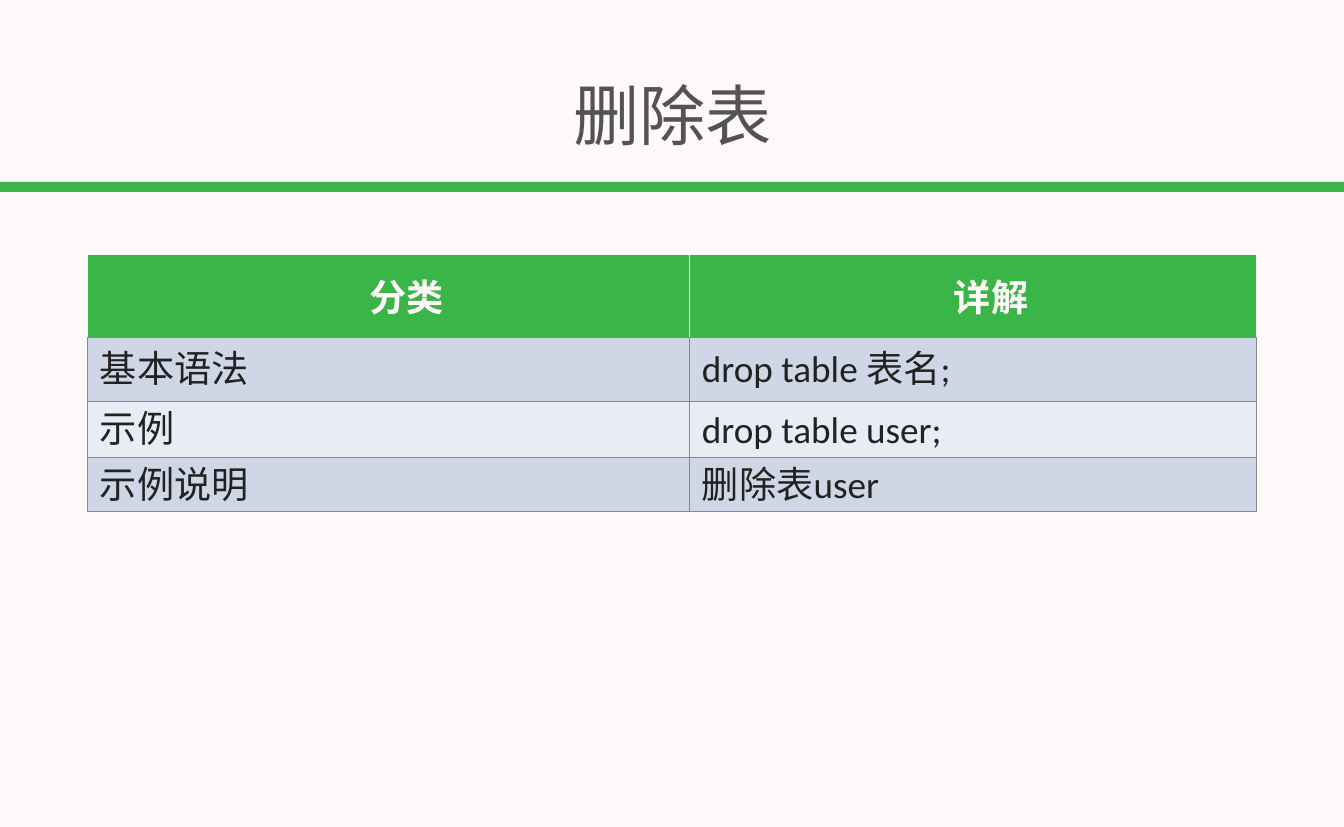
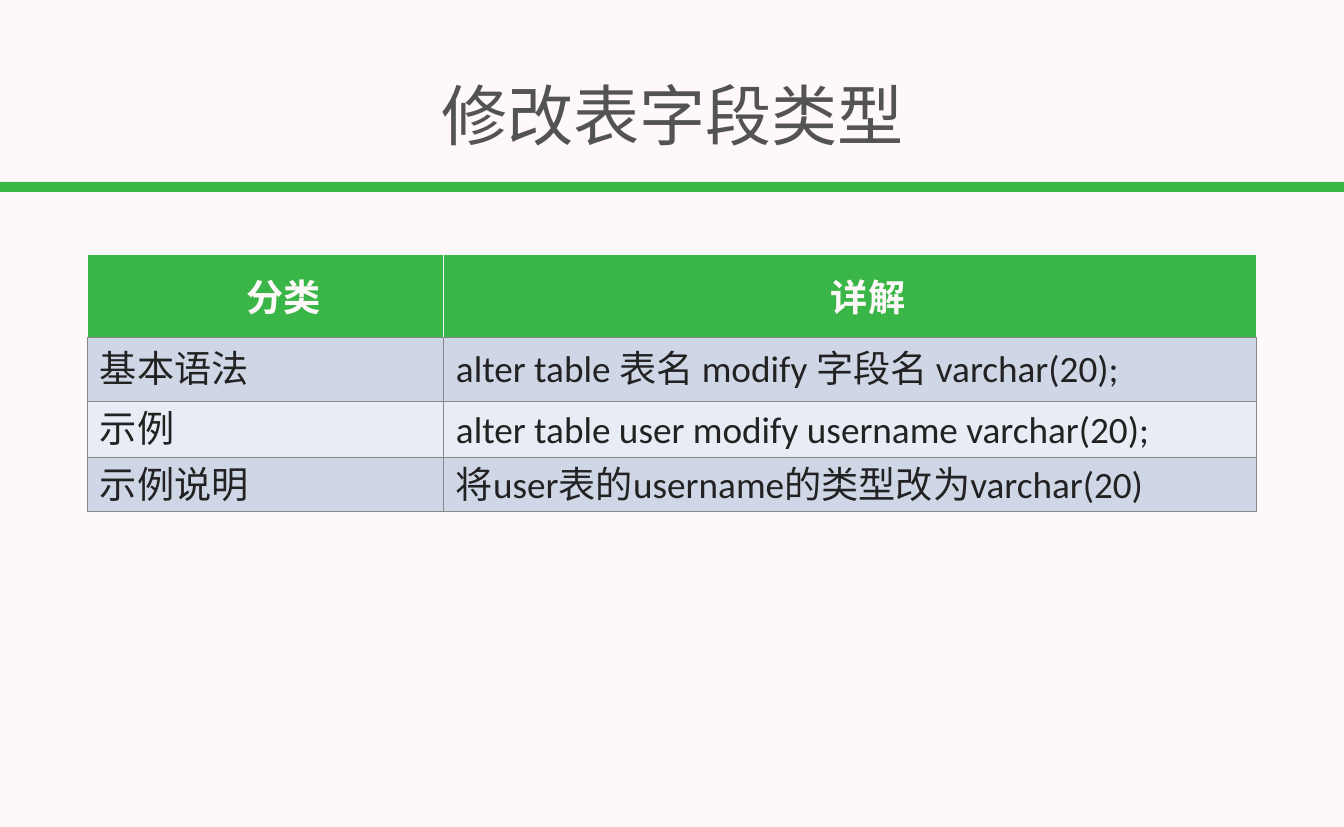
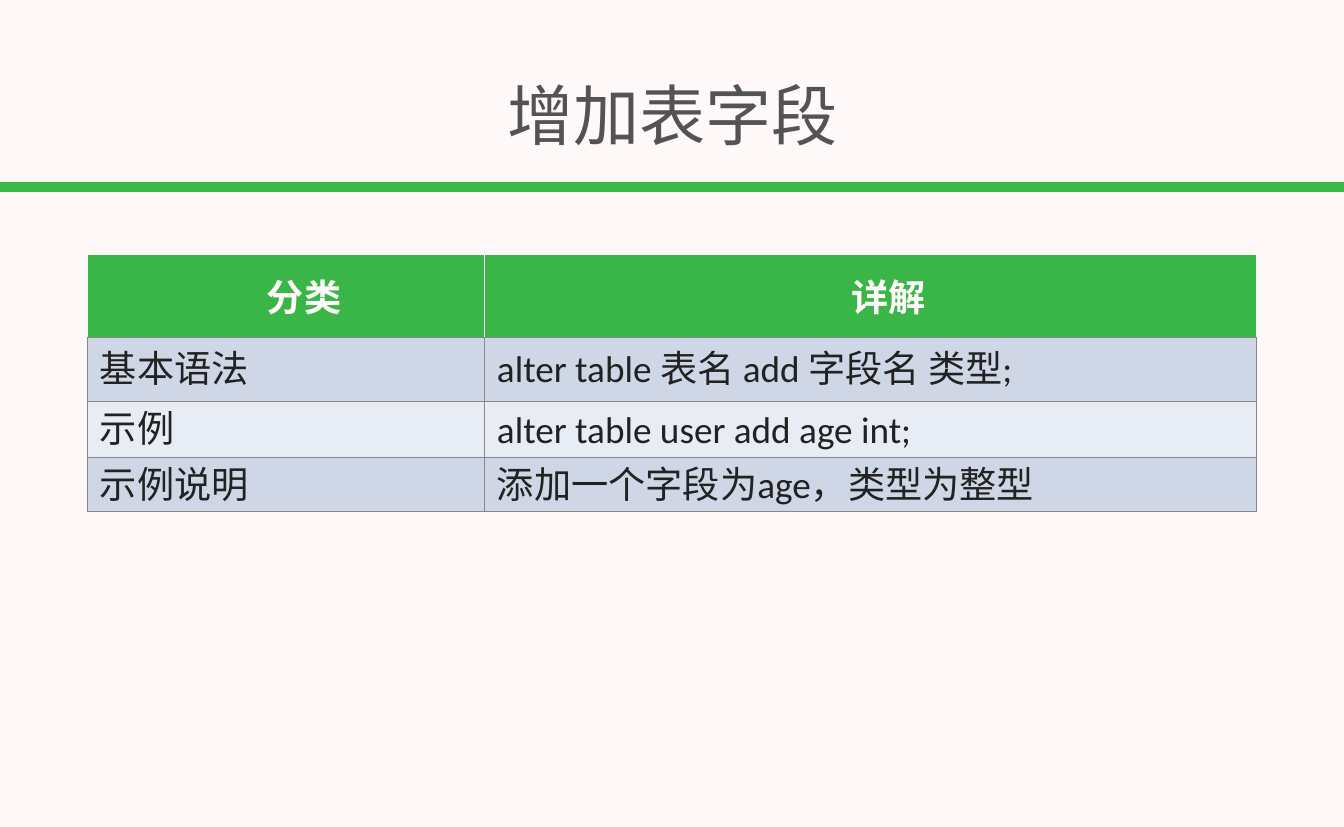
from lxml.etree import SubElement
from pptx import Presentation
from pptx.dml.color import RGBColor
from pptx.enum.shapes import MSO_SHAPE
from pptx.enum.text import MSO_ANCHOR, MSO_AUTO_SIZE, PP_ALIGN
from pptx.oxml.ns import qn
from pptx.util import Pt

SCALE = 12290  # EMU per pixel
FONT = "Calibri"
PAPER, BAND_GREEN, HEADER_GREEN = "FFF8F8", "39B747", "39B647"
TITLE_GREY, INK, GRID = "535353", "222222", "888888"
STRIPES = ["CFD7E7", "E8ECF4"]

TABLE_LEFT, TABLE_TOP, TABLE_WIDTH = 87, 254, 1169
ROW_HEIGHTS = [83, 64, 57, 54]
HEADINGS = ("分类", "详解")
ROW_LABELS = ["基本语法", "示例", "示例说明"]

# Title, width of the first column, details of the three rows
TOPICS = [
    ("删除表", 602,
     ["drop table 表名;", "drop table user;", "删除表user"]),
    ("修改表字段类型", 356,
     ["alter table 表名 modify 字段名 varchar(20);",
      "alter table user modify username varchar(20);",
      "将user表的username的类型改为varchar(20)"]),
    ("增加表字段", 397,
     ["alter table 表名 add 字段名 类型;",
      "alter table user add age int;",
      "添加一个字段为age，类型为整型"]),
]


def px(*lengths):
    return [length * SCALE for length in lengths]


def write(paragraph, text, size, color, bold=False):
    run = paragraph.add_run()
    run.text = text
    run.font.name = FONT
    run.font.size = Pt(size)
    run.font.bold = bold
    run.font.color.rgb = RGBColor.from_string(color)


prs = Presentation()
prs.slide_width, prs.slide_height = px(1344, 827)

# Shared background and title place
background = prs.slide_master.background.fill
background.solid()
background.fore_color.rgb = RGBColor.from_string(PAPER)
layout = prs.slide_layouts[5]
layout_title = layout.placeholders[0]
(layout_title.left, layout_title.top,
 layout_title.width, layout_title.height) = px(4, 61, 1337, 106)

slides = [prs.slides.add_slide(layout) for _ in TOPICS]

# Green band, moved to the layout so that every slide shows it
band = slides[0].shapes.add_shape(MSO_SHAPE.RECTANGLE, *px(-1, 182, 1346, 10))
band.shadow.inherit = False
band.fill.solid()
band.fill.fore_color.rgb = RGBColor.from_string(BAND_GREEN)
band.line.fill.background()
layout.shapes.element.append(band.element)

for slide, (heading, first_width, details) in zip(slides, TOPICS):
    # Title
    title_frame = slide.shapes.title.text_frame
    title_frame.auto_size = MSO_AUTO_SIZE.NONE
    title_frame.vertical_anchor = MSO_ANCHOR.MIDDLE
    title_frame.paragraphs[0].alignment = PP_ALIGN.CENTER
    write(title_frame.paragraphs[0], heading, 64, TITLE_GREY)

    # Syntax table
    rows = [HEADINGS, *zip(ROW_LABELS, details)]
    syntax = slide.shapes.add_table(
        len(rows), len(HEADINGS),
        *px(TABLE_LEFT, TABLE_TOP, TABLE_WIDTH, sum(ROW_HEIGHTS))).table
    syntax.columns[0].width, syntax.columns[1].width = px(
        first_width, TABLE_WIDTH - first_width)
    for row, height in zip(syntax.rows, px(*ROW_HEIGHTS)):
        row.height = height

    for r, texts in enumerate(rows):
        is_header = r == 0
        for c, text in enumerate(texts):
            cell = syntax.cell(r, c)
            cell.vertical_anchor = MSO_ANCHOR.MIDDLE
            side, edge = px(0, 0) if is_header else px(13, 3)
            cell.margin_left = cell.margin_right = side
            cell.margin_top = cell.margin_bottom = edge

            # Borders come before the fill in the cell properties
            properties = cell._tc.get_or_add_tcPr()
            for border in ("lnL", "lnR", "lnT", "lnB"):
                line = SubElement(properties, qn(f"a:{border}"), w=str(Pt(1)))
                paint = SubElement(line, qn("a:solidFill"))
                SubElement(paint, qn("a:srgbClr"),
                           val=PAPER if is_header and border != "lnB" else GRID)
            cell.fill.solid()
            cell.fill.fore_color.rgb = RGBColor.from_string(
                HEADER_GREEN if is_header else STRIPES[(r - 1) % 2])

            paragraph = cell.text_frame.paragraphs[0]
            if is_header:
                paragraph.alignment = PP_ALIGN.CENTER
                paragraph._p.get_or_add_pPr().set("indent", str(Pt(36)))
                write(paragraph, text, 36, PAPER, bold=True)
            else:
                paragraph.line_spacing = Pt(46)
                write(paragraph, text, 36, INK)

prs.save("out.pptx")
